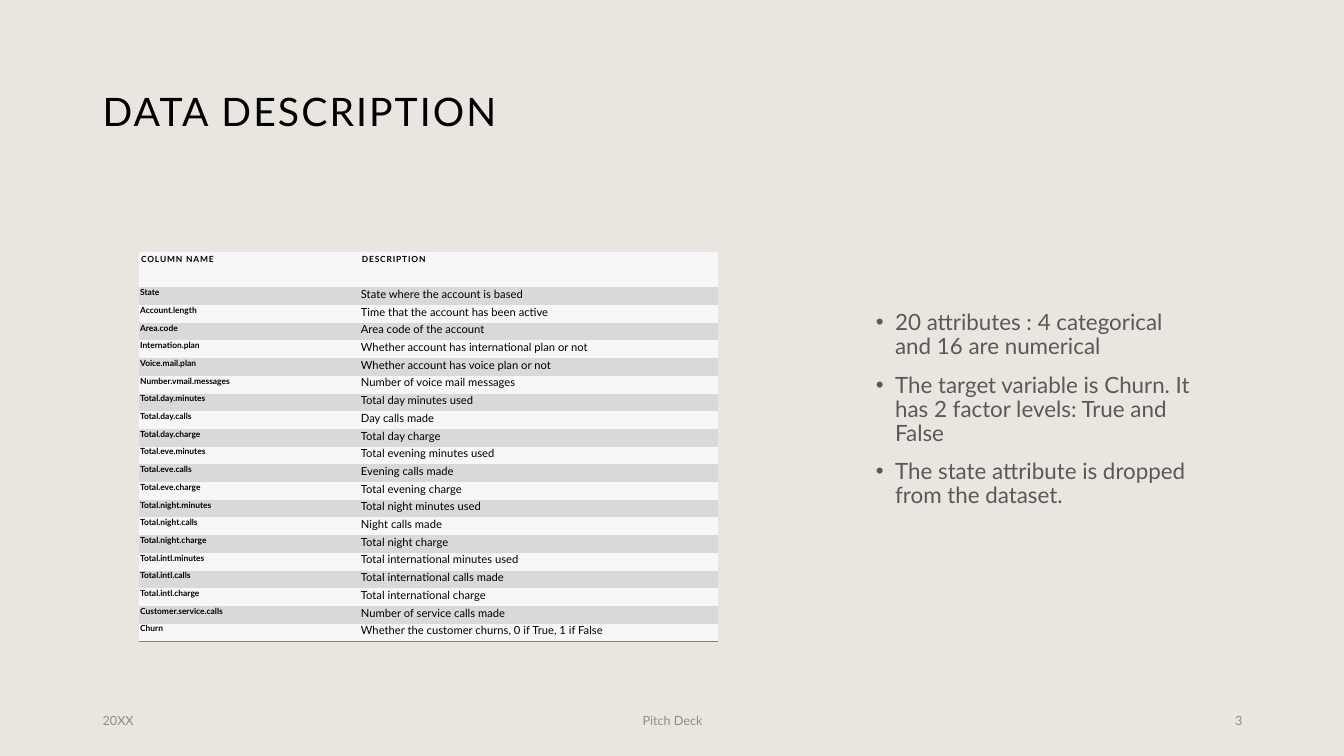
"""Build the data description slide with its column table."""
from dataclasses import dataclass

from lxml.etree import SubElement as Sub
from pptx import Presentation
from pptx.dml.color import RGBColor as Rgb
from pptx.enum.text import MSO_ANCHOR as Anchor, PP_ALIGN as Align
from pptx.oxml import parse_xml
from pptx.oxml.ns import nsdecls, qn
from pptx.slide import Slide
from pptx.util import Inches, Pt

FONT = "Lato"
PLAIN = "{2D5ABB26-0587-4C30-8999-92F81FD0307C}"
LIGHT, DARK = "F7F7F7", "D9D9D9"
HEAD = [("COLUMN NAME", "DESCRIPTION"), ("", "")]
ROWS = [
    ("State", "State where the account is based"),
    ("Account.length", "Time that the account has been active"),
    ("Area.code", "Area code of the account"),
    ("Internation.plan", "Whether account has international plan or not"),
    ("Voice.mail.plan", "Whether account has voice plan or not"),
    ("Number.vmail.messages", "Number of voice mail messages"),
    ("Total.day.minutes", "Total day minutes used"),
    ("Total.day.calls", "Day calls made"),
    ("Total.day.charge", "Total day charge"),
    ("Total.eve.minutes", "Total evening minutes used"),
    ("Total.eve.calls", "Evening calls made"),
    ("Total.eve.charge", "Total evening charge"),
    ("Total.night.minutes", "Total night minutes used"),
    ("Total.night.calls", "Night calls made"),
    ("Total.night.charge", "Total night charge"),
    ("Total.intl.minutes", "Total international minutes used"),
    ("Total.intl.calls", "Total international calls made"),
    ("Total.intl.charge", "Total international charge"),
    ("Customer.service.calls", "Number of service calls made"),
    ("Churn", "Whether the customer churns, 0 if True, 1 if False"),
]


@dataclass
class Box:
    """A text box with one style."""
    lines: list[str]
    left: float
    top: float
    width: float
    height: float
    size: float
    color: str
    align: Align = Align.LEFT
    anchor: Anchor = Anchor.MIDDLE
    track: float = 0
    lead: float = 1
    after: float = 0
    bullet: bool = False


BOXES = [
    Box(["DATA DESCRIPTION"], 0.92, 0.4, 11.5, 1.45, 28, "000000", track=1.5, lead=0.9),
    Box(["20 attributes : 4 categorical and 16 are numerical",
         "The target variable is Churn. It has 2 factor levels: True and False",
         "The state attribute is dropped from the dataset."],
        8.59, 3.04, 3.44, 3.39, 16, "595959", anchor=Anchor.TOP, lead=0.9, bullet=True),
    Box(["20XX"], 0.92, 6.95, 3, 0.4, 9, "8C8C8C", after=6),
    Box(["Pitch Deck"], 4.42, 6.95, 4.5, 0.4, 9, "8C8C8C", Align.CENTER, after=6),
    Box(["3"], 9.42, 6.95, 3, 0.4, 9, "8C8C8C", Align.RIGHT, after=6),
]


def tint(code: str) -> Rgb:
    """Turn a hex string into a colour."""
    return Rgb.from_string(code)


def style(para, size: float, color: str, bold: bool = False, track: float = 0) -> None:
    """Format every run of a paragraph."""
    for run in para.runs:
        font = run.font
        font.name, font.size, font.bold = FONT, Pt(size), bold
        font.color.rgb = tint(color)
        if track:
            run._r.get_or_add_rPr().set("spc", str(round(track * 100)))


def draw_box(slide: Slide, box: Box) -> None:
    """Draw one text box."""
    spot = map(Inches, (box.left, box.top, box.width, box.height))
    frame = slide.shapes.add_textbox(*spot).text_frame
    frame.word_wrap = True
    frame.vertical_anchor = box.anchor
    frame.text = "\n".join(box.lines)
    for i, para in enumerate(frame.paragraphs):
        if box.bullet:
            props = para._p.get_or_add_pPr()
            props.set("marL", str(Inches(0.19)))
            props.set("indent", str(-Inches(0.19)))
            Sub(props, qn("a:buFont"), typeface="Arial")
            Sub(props, qn("a:buChar"), char="•")
            para.space_before = Pt(10 if i else 0)
        para.alignment = box.align
        para.line_spacing = box.lead
        para.space_after = Pt(box.after)
        style(para, box.size, box.color, track=box.track)


def fill_cell(cell, text: str, fill: str, size: float, bold: bool,
              pads: tuple[float, float, float, float], track: float = 0) -> None:
    """Write and paint one table cell."""
    cell.text_frame.text = text
    (cell.margin_left, cell.margin_top,
     cell.margin_right, cell.margin_bottom) = map(Inches, pads)
    cell.fill.solid()
    cell.fill.fore_color.rgb = tint(fill)
    para = cell.text_frame.paragraphs[0]
    style(para, size, "000000", bold, track)
    if not text:
        Sub(para._p, qn("a:endParaRPr"), sz=str(size * 100))


def rule(cell, color: str) -> None:
    """Add a thin line under a cell."""
    line = parse_xml(f'<a:lnB {nsdecls("a")} w="{Pt(1)}"><a:solidFill>'
                     f'<a:srgbClr val="{color}"/></a:solidFill></a:lnB>')
    cell._tc.get_or_add_tcPr().insert(0, line)


def draw_table(slide: Slide) -> None:
    """Draw the table, its header two rows high."""
    top = len(HEAD)
    count, tall = top + len(ROWS), 3.87
    spot = map(Inches, (1.38, 2.5, 5.74, tall))
    frame = slide.shapes.add_table(count, 2, *spot)
    table = frame.table
    for tag in frame.element.iter(qn("a:tableStyleId")):
        tag.text = PLAIN
    for col, wide in zip(table.columns, (2.19, 3.55)):
        col.width = Inches(wide)
    for row in table.rows:
        row.height = Inches(tall / count)
    for r, pair in enumerate(HEAD + ROWS):
        for c, text in enumerate(pair):
            cell = table.cell(r, c)
            if r < top:
                fill_cell(cell, text, LIGHT, 6, True, (0.02,) * 4, 0.6)
            else:
                fill_cell(cell, text, LIGHT if r % 2 else DARK,
                          8 if c else 6, not c, (0.01, 0, 0.01, 0.02))
    for c in range(2):
        rule(table.cell(count - 1, c), "808080")


def main() -> None:
    """Build and save the deck."""
    deck = Presentation()
    deck.slide_width, deck.slide_height = Inches(13.33), Inches(7.5)
    slide = deck.slides.add_slide(deck.slide_layouts[6])
    back = slide.background.fill
    back.solid()
    back.fore_color.rgb = tint("E9E6DF")
    for box in BOXES:
        draw_box(slide, box)
    draw_table(slide)
    deck.save("out.pptx")


if __name__ == "__main__":
    main()
